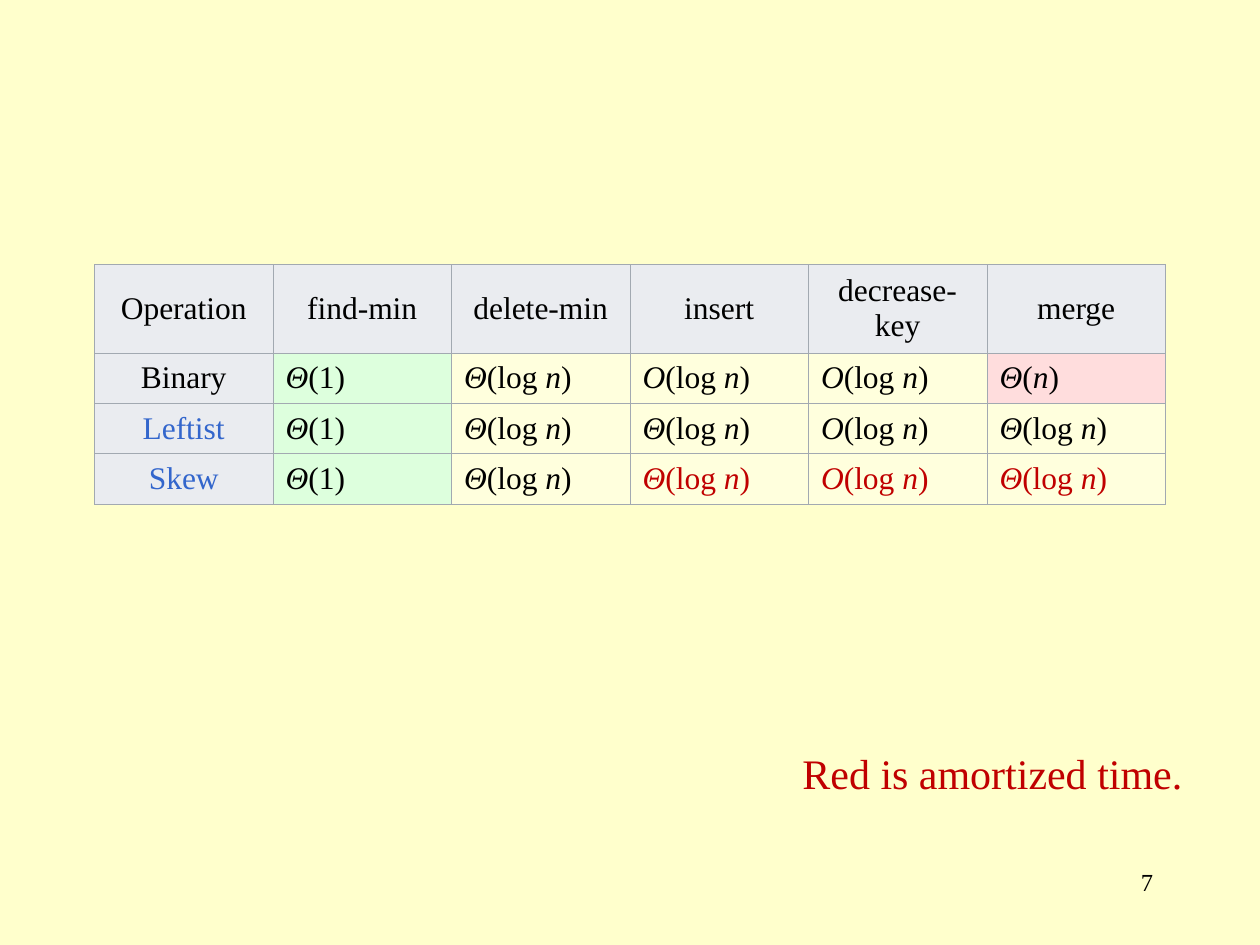
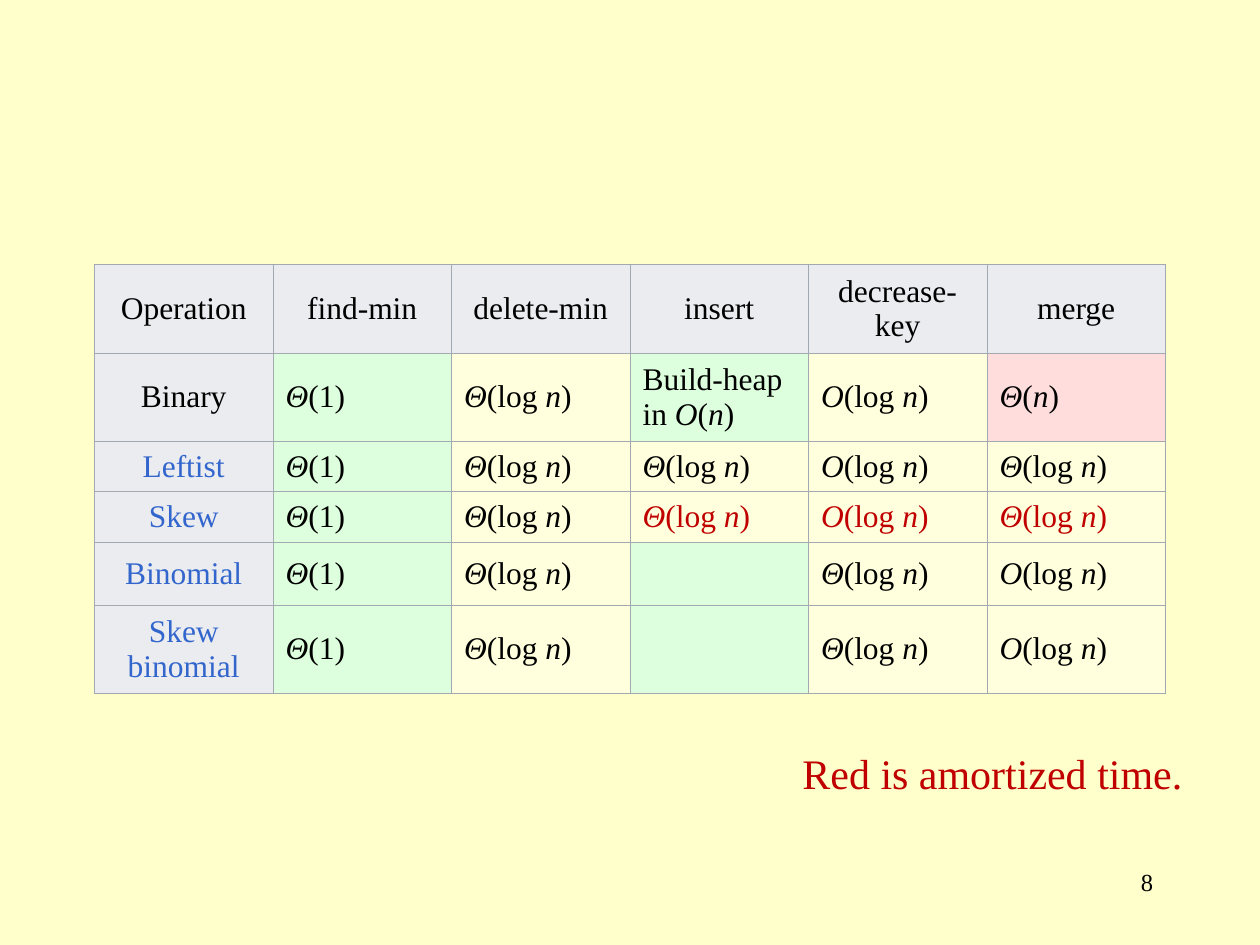
from collections import namedtuple

from lxml.etree import SubElement
from pptx import Presentation
from pptx.dml.color import RGBColor
from pptx.enum.text import MSO_ANCHOR as Anchor, MSO_AUTO_SIZE as AutoSize, PP_ALIGN as Align
from pptx.oxml.ns import qn
from pptx.util import Inches, Pt

COLORS = {
    "background": "FFFFCC",
    "header": "EAECF0",
    "fast": "DDFFDD",
    "medium": "FFFFDD",
    "slow": "FFDDDD",
    "border": "A2A9B1",
    "text": "000000",
    "link": "3366CC",
    "amortized": "C00000",
}

# Table contents: underscores enclose italic symbols
Cell = namedtuple("Cell", "text fill color align", defaults=("text", Align.LEFT))


def heading(text, color="text"):
    return Cell(text, "header", color, Align.CENTER)


CONSTANT = Cell("_Θ_(1)", "fast")
THETA_LOG = Cell("_Θ_(log _n_)", "medium")
O_LOG = Cell("_O_(log _n_)", "medium")
LINEAR = Cell("_Θ_(_n_)", "slow")
BUILD_HEAP = Cell("Build-heap in _O_(_n_)", "fast")
EMPTY = Cell("", "fast")
AMORTIZED_THETA = THETA_LOG._replace(color="amortized")
AMORTIZED_O = O_LOG._replace(color="amortized")

OPERATIONS = ["Operation", "find-min", "delete-min", "insert", "decrease-key", "merge"]


def heap_row(name, insert, decrease_key, merge, color="link"):
    return [heading(name, color), CONSTANT, THETA_LOG, insert, decrease_key, merge]


HEADER = [heading(operation) for operation in OPERATIONS]
LEFTIST = heap_row("Leftist", THETA_LOG, O_LOG, THETA_LOG)
SKEW = heap_row("Skew", AMORTIZED_THETA, AMORTIZED_O, AMORTIZED_THETA)

# Each slide: page number, then rows with their heights
SLIDES = [
    ("7", [
        (0.7, HEADER),
        (0.4, heap_row("Binary", O_LOG, O_LOG, LINEAR, "text")),
        (0.4, LEFTIST),
        (0.4, SKEW),
    ]),
    ("8", [
        (0.7, HEADER),
        (0.7, heap_row("Binary", BUILD_HEAP, O_LOG, LINEAR, "text")),
        (0.4, LEFTIST),
        (0.4, SKEW),
        (0.5, heap_row("Binomial", EMPTY, THETA_LOG, O_LOG)),
        (0.7, heap_row("Skew binomial", EMPTY, THETA_LOG, O_LOG)),
    ]),
]


class Deck:
    FONT = "Times New Roman"
    TABLE_WIDTH = 8.5
    BORDER_WIDTH = Pt(0.17)

    def __init__(self):
        self.presentation = Presentation()
        self.presentation.slide_width = Inches(10)
        self.presentation.slide_height = Inches(7.5)
        self.fill(self.presentation.slide_master.background, "background")
        self.slide = None

    def add_slide(self):
        self.slide = self.presentation.slides.add_slide(self.presentation.slide_layouts[6])

    def fill(self, target, color):
        target.fill.solid()
        target.fill.fore_color.rgb = RGBColor.from_string(COLORS[color])

    def add_text(self, paragraph, text, size, color, align=Align.LEFT):
        paragraph.alignment = align
        for index, part in enumerate(text.split("_")):
            if part:
                run = paragraph.add_run()
                run.text = part
                run.font.name = self.FONT
                run.font.size = Pt(size)
                run.font.italic = index % 2 == 1
                run.font.color.rgb = RGBColor.from_string(COLORS[color])

    def text_box(self, left, top, width, height, text, size, color, align=Align.LEFT, wrap=True):
        shape = self.slide.shapes.add_textbox(
            Inches(left), Inches(top), Inches(width), Inches(height))
        frame = shape.text_frame
        frame.word_wrap = wrap
        frame.auto_size = AutoSize.NONE if wrap else AutoSize.SHAPE_TO_FIT_TEXT
        self.add_text(frame.paragraphs[0], text, size, color, align)

    def border(self, cell):
        properties = cell._tc.get_or_add_tcPr()
        for side in ("a:lnL", "a:lnR", "a:lnT", "a:lnB"):
            line = SubElement(properties, qn(side), w=str(self.BORDER_WIDTH))
            solid = SubElement(line, qn("a:solidFill"))
            SubElement(solid, qn("a:srgbClr"), val=COLORS["border"])

    def table(self, rows):
        columns = len(OPERATIONS)
        height = sum(row_height for row_height, _ in rows)
        table = self.slide.shapes.add_table(
            len(rows), columns, Inches(0.75), Inches(2.1),
            Inches(self.TABLE_WIDTH), Inches(height)).table
        table.first_row = table.horz_banding = False
        for column in table.columns:
            column.width = Inches(self.TABLE_WIDTH / columns)
        for row, (row_height, contents) in zip(table.rows, rows):
            row.height = Inches(row_height)
            for cell, content in zip(row.cells, contents):
                cell.margin_left = cell.margin_right = Inches(0.1)
                cell.margin_top = cell.margin_bottom = Inches(0.05)
                cell.vertical_anchor = Anchor.MIDDLE
                self.border(cell)
                self.fill(cell, content.fill)
                self.add_text(cell.text_frame.paragraphs[0], content.text, 18,
                              content.color, content.align)

    def page_number(self, number):
        self.text_box(7.17, 6.83, 2.08, 0.5, number, 14, "text", Align.RIGHT)

    def amortized_note(self):
        self.text_box(6.27, 5.88, 3.22, 0.5, "Red is amortized time.", 24,
                      "amortized", wrap=False)


def main():
    deck = Deck()
    for number, rows in SLIDES:
        deck.add_slide()
        deck.page_number(number)
        deck.table(rows)
        deck.amortized_note()
    deck.presentation.save("out.pptx")


if __name__ == "__main__":
    main()
